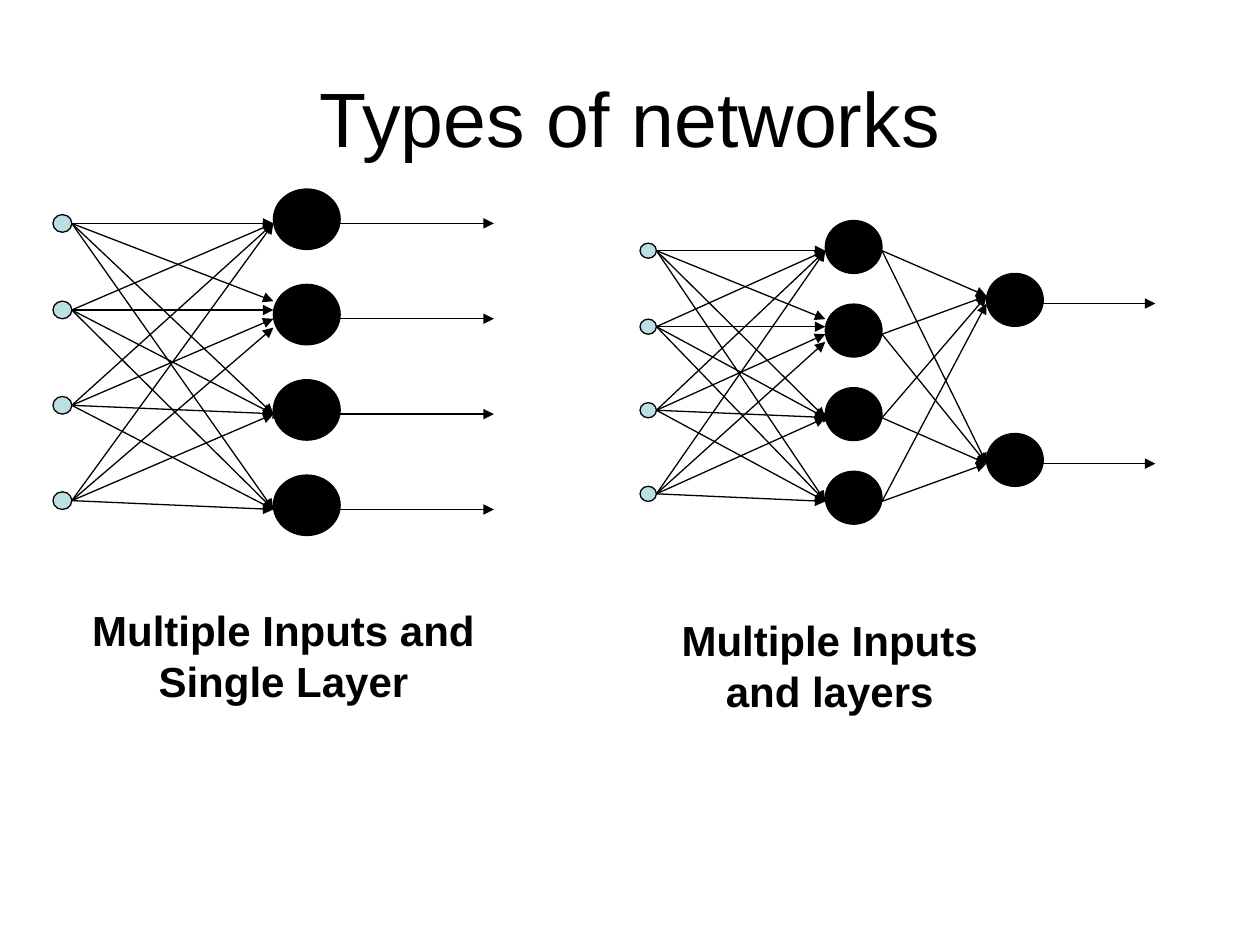
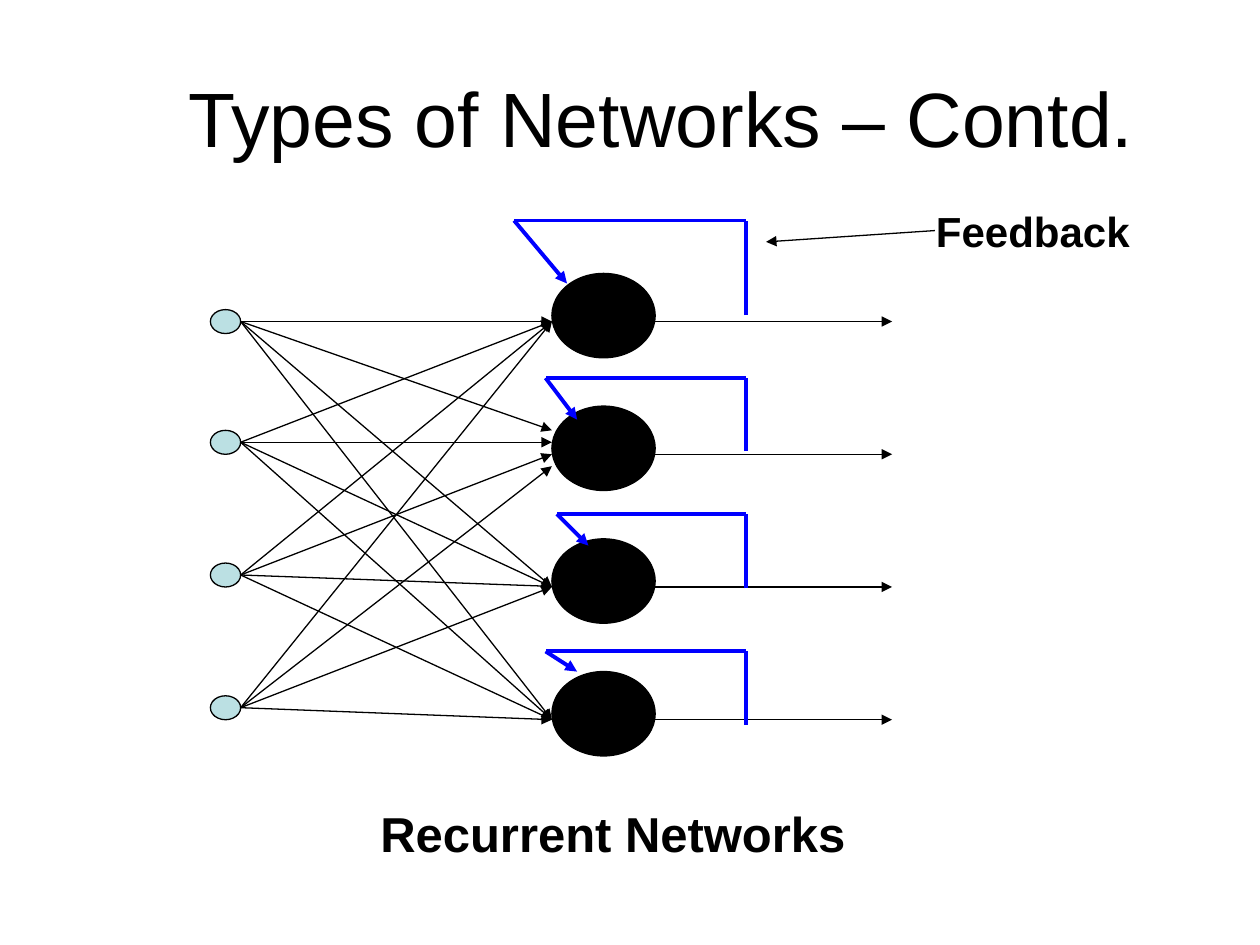
from dataclasses import dataclass

from lxml import etree
from pptx import Presentation
from pptx.dml.color import RGBColor
from pptx.enum.shapes import MSO_CONNECTOR, MSO_SHAPE
from pptx.enum.text import MSO_ANCHOR, PP_ALIGN
from pptx.oxml.ns import qn
from pptx.util import Inches, Pt

COLORS = {"ink": "000000", "input": "BBE0E3", "feedback": "0000FF"}
FONT = "Arial"
THIN, THICK = 0.75, 2.25
ENTRY = 0.57  # share of a neuron's height at which its arrows meet it


@dataclass
class Layer:
    """A column of equal neurons, spaced evenly from first to last top."""
    left: float
    first_top: float
    last_top: float
    width: float
    height: float
    count: int

    @property
    def right(self) -> float:
        return self.left + self.width

    @property
    def tops(self) -> list[float]:
        pitch = (self.last_top - self.first_top) / (self.count - 1)
        return [self.first_top + i * pitch for i in range(self.count)]

    @property
    def entries(self) -> list[float]:
        return [top + ENTRY * self.height for top in self.tops]


@dataclass
class Network:
    input_left: float
    input_width: float
    input_height: float
    layers: list[Layer]
    output_end: float


@dataclass
class Label:
    text: str
    left: float
    top: float
    width: float
    height: float
    size: int = 24
    bold: bool = True
    align: PP_ALIGN = PP_ALIGN.CENTER
    anchor: MSO_ANCHOR = MSO_ANCHOR.TOP
    indent: float = 0.1
    wrap: bool = True


@dataclass
class Feedback:
    """A loop from an output line back over the top of a neuron."""
    start_y: float
    top: float
    left: float
    tip_x: float
    tip_y: float


def rgb(name: str) -> RGBColor:
    return RGBColor.from_string(COLORS[name])


def add_label(slide, label: Label) -> None:
    sp = slide.shapes.add_textbox(Inches(label.left), Inches(label.top),
                                  Inches(label.width), Inches(label.height))
    tf = sp.text_frame
    tf.word_wrap = label.wrap
    tf.vertical_anchor = label.anchor
    tf.margin_left = Inches(label.indent)
    p = tf.paragraphs[0]
    p.text = label.text
    p.alignment = label.align
    p.font.name = FONT
    p.font.size = Pt(label.size)
    p.font.bold = label.bold
    p.font.color.rgb = rgb("ink")


def add_title(slide, text: str, indent: float = 0.1) -> None:
    add_label(slide, Label(text, 0.5, 0.3, 9, 1.25, size=44, bold=False,
                           anchor=MSO_ANCHOR.MIDDLE, indent=indent))


def add_node(shapes, left: float, top: float, width: float, height: float,
             fill: str) -> None:
    sp = shapes.add_shape(MSO_SHAPE.OVAL, Inches(left), Inches(top),
                          Inches(width), Inches(height))
    sp.shadow.inherit = False
    sp.fill.solid()
    sp.fill.fore_color.rgb = rgb(fill)
    sp.line.color.rgb = rgb("ink")
    sp.line.width = Pt(THIN)


def add_line(shapes, x1: float, y1: float, x2: float, y2: float,
             color: str = "ink", width: float = THIN,
             arrow: bool = True) -> None:
    cx = shapes.add_connector(MSO_CONNECTOR.STRAIGHT, Inches(x1), Inches(y1),
                              Inches(x2), Inches(y2))
    cx.line.color.rgb = rgb(color)
    cx.line.width = Pt(width)
    if arrow:
        etree.SubElement(cx.line._get_or_add_ln(), qn("a:tailEnd"),
                         type="triangle")
    etree.SubElement(cx._element.spPr, qn("a:effectLst"))


def add_network(slide, net: Network) -> None:
    shapes = slide.shapes.add_group_shape().shapes
    hidden = net.layers[0]
    half = net.input_height / 2
    input_right = net.input_left + net.input_width

    # Neurons and inputs; all inputs but the first sit half a dot higher
    for layer in net.layers:
        for top in layer.tops:
            add_node(shapes, layer.left, top, layer.width, layer.height, "ink")
    inputs = [y - (half if i else 0) for i, y in enumerate(hidden.entries)]
    for y in inputs:
        add_node(shapes, net.input_left, y - half, net.input_width,
                 net.input_height, "input")

    # Inputs to first layer; arrows fan out at the second neuron
    for i, y in enumerate(inputs):
        for j, entry in enumerate(hidden.entries):
            fan = (i - 2) * half if j == 1 else 0
            reach = net.input_width / 2 if i == j == 2 else 0
            add_line(shapes, input_right, y, hidden.left + reach, entry + fan)

    # Layer to layer; the upper neuron takes all but the last arrow higher
    for source, target in zip(net.layers, net.layers[1:]):
        for i, y in enumerate(source.entries):
            for j, entry in enumerate(target.entries):
                lift = half if j == 0 and i < source.count - 1 else 0
                add_line(shapes, source.right, y, target.left, entry - lift)

    # Outputs
    last = net.layers[-1]
    for y in last.entries:
        add_line(shapes, last.right, y, net.output_end, y)


def add_feedback(slide, loop: Feedback, right: float = 5.92) -> None:
    points = [(right, loop.start_y), (right, loop.top), (loop.left, loop.top),
              (loop.tip_x, loop.tip_y)]
    for i, (a, b) in enumerate(zip(points, points[1:])):
        add_line(slide.shapes, *a, *b, color="feedback", width=THICK,
                 arrow=i == 2)


SINGLE_LAYER = Network(0.42, 0.15, 0.14,
                       [Layer(2.17, 1.5, 3.77, 0.53, 0.48, 4)], 3.92)
MULTI_LAYER = Network(5.08, 0.13, 0.12,
                      [Layer(6.55, 1.75, 3.74, 0.45, 0.42, 4),
                       Layer(7.83, 2.17, 3.44, 0.45, 0.42, 2)], 9.17)
RECURRENT = Network(1.67, 0.24, 0.19,
                    [Layer(4.38, 2.17, 5.33, 0.82, 0.67, 4)], 7.08)
LOOPS = [
    Feedback(2.5, 1.75, 4.08, 4.5, 2.25),
    Feedback(3.58, 3, 4.33, 4.58, 3.33),
    Feedback(4.67, 4.08, 4.42, 4.67, 4.33),
    Feedback(5.75, 5.17, 4.33, 4.58, 5.33),
]


def main() -> None:
    prs = Presentation()
    prs.slide_width, prs.slide_height = Inches(10), Inches(7.5)
    blank = prs.slide_layouts[6]

    # Feed-forward networks
    slide = prs.slides.add_slide(blank)
    add_title(slide, "Types of networks")
    add_network(slide, SINGLE_LAYER)
    add_network(slide, MULTI_LAYER)
    add_label(slide, Label("Multiple Inputs and Single Layer",
                           0.5, 4.75, 3.5, 0.9))
    add_label(slide, Label("Multiple Inputs and layers", 5, 4.83, 3.17, 0.9))

    # Recurrent network
    slide = prs.slides.add_slide(blank)
    add_title(slide, "Types of Networks – Contd.", indent=0.6)
    add_network(slide, RECURRENT)
    for loop in LOOPS:
        add_feedback(slide, loop)
    add_label(slide, Label("Feedback", 7.33, 1.58, 1.75, 0.5,
                           align=PP_ALIGN.LEFT))
    add_line(slide.shapes, 7.42, 1.83, 6.08, 1.92)
    add_label(slide, Label("Recurrent Networks", 2.92, 6.33, 3.89, 0.57,
                           size=28, align=PP_ALIGN.LEFT, wrap=False))

    prs.save("out.pptx")


if __name__ == "__main__":
    main()
